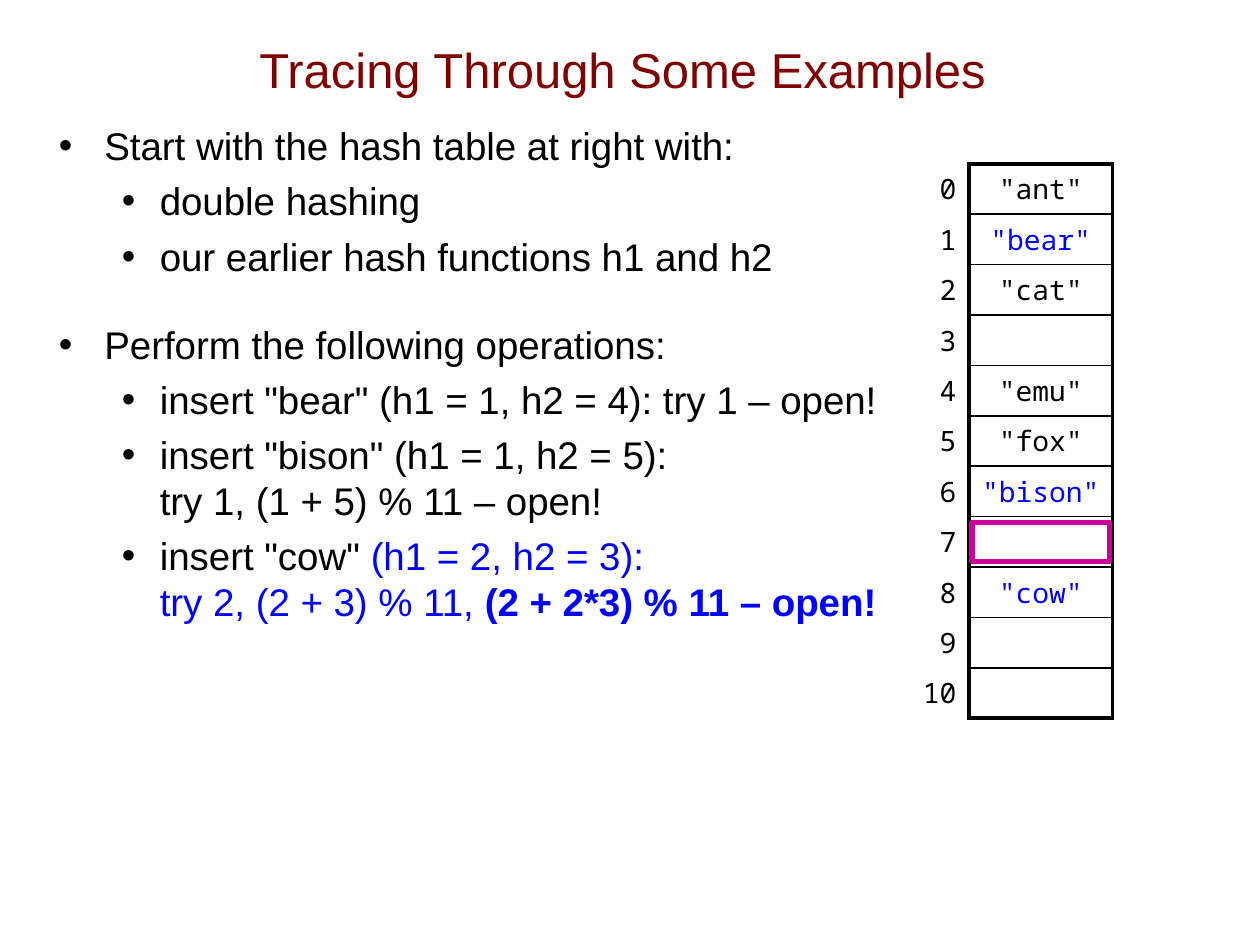
"""Slide tracing double-hashing insertions next to the resulting hash table."""
from lxml import etree
from pptx import Presentation
from pptx.dml.color import RGBColor
from pptx.enum.shapes import MSO_SHAPE
from pptx.enum.text import MSO_ANCHOR, PP_ALIGN
from pptx.oxml.ns import qn
from pptx.util import Inches, Pt

CENTER, RIGHT = PP_ALIGN.CENTER, PP_ALIGN.RIGHT
MIDDLE = MSO_ANCHOR.MIDDLE
RECTANGLE = MSO_SHAPE.RECTANGLE

BLACK = RGBColor(0x00, 0x00, 0x00)
BLUE = RGBColor(0x00, 0x00, 0xFF)
MAROON = RGBColor(0x80, 0x00, 0x00)
MAGENTA = RGBColor(0xCC, 0x00, 0x99)
BODY_FONT, CODE_FONT = "Arial", "Noto Sans Mono"

TITLE = "Tracing Through Some Examples"
STEPS = [
    (0, 14.2, [("Start with the hash table at right with:", BLACK, False)]),
    (1, 5.2, [("double hashing", BLACK, False)]),
    (1, 5.2, [("our earlier hash functions h1 and h2", BLACK, False)]),
    (0, 24, [("Perform the following operations:", BLACK, False)]),
    (1, 5, [('insert "bear" (h1 = 1, h2 = 4): try 1 – open!', BLACK, False)]),
    (1, 5, [('insert "bison" (h1 = 1, h2 = 5):\ntry 1, (1 + 5) % 11 – open!', BLACK, False)]),
    (1, 5, [('insert "cow" ', BLACK, False),
            ("(h1 = 2, h2 = 3):\ntry 2, (2 + 3) % 11, ", BLUE, False),
            ("(2 + 2*3) % 11 – open!", BLUE, True)]),
]
INDENTS = [(0.36, -0.36), (0.8, -0.3)]
SLOTS = ["ant", "bear", "cat", "", "emu", "fox", "bison", "", "cow", "", ""]
INSERTED = {"bear", "bison", "cow"}
MARKED_SLOT = 7
TABLE_LEFT, TABLE_TOP = 6.54, 1.3
COLUMN_WIDTHS = (1.15, 1.14)
ROW_HEIGHT = 0.4
MARK_WIDTH, MARK_HEIGHT = 1.09, 0.31
THICK, THIN, NONE = 2.25, 1, 0


def style_font(font, name, size, color):
    font.name, font.size = name, Pt(size)
    font.color.rgb = color


def add_color(parent, color):
    etree.SubElement(parent, qn("a:srgbClr"), val=str(color))


def add_bullet(paragraph, level):
    margin, indent = INDENTS[level]
    paragraph.level = level
    properties = paragraph._p.get_or_add_pPr()
    properties.set("marL", str(Inches(margin)))
    properties.set("indent", str(Inches(indent)))
    add_color(etree.SubElement(properties, qn("a:buClr")), BLACK)
    etree.SubElement(properties, qn("a:buFont"), typeface=BODY_FONT)
    etree.SubElement(properties, qn("a:buChar"), char="•")


def add_borders(cell, widths):
    properties = cell._tc.get_or_add_tcPr()
    for side, width in widths.items():
        border = etree.SubElement(properties, qn(f"a:ln{side}"), w=str(Pt(width)))
        if width:
            add_color(etree.SubElement(border, qn("a:solidFill")), BLACK)
        else:
            etree.SubElement(border, qn("a:noFill"))


def add_title(slide):
    frame = slide.shapes.add_textbox(Inches(0.64), Inches(0.08), Inches(8.6), Inches(0.93)).text_frame
    frame.word_wrap, frame.vertical_anchor = True, MIDDLE
    heading = frame.paragraphs[0]
    heading.text, heading.alignment = TITLE, CENTER
    style_font(heading.font, BODY_FONT, 28, MAROON)


def add_steps(slide):
    frame = slide.shapes.add_textbox(Inches(0.37), Inches(0.92), Inches(9.63), Inches(6.14)).text_frame
    frame.word_wrap = True
    for number, (level, space, pieces) in enumerate(STEPS):
        step = frame.add_paragraph() if number else frame.paragraphs[0]
        add_bullet(step, level)
        step.space_before = Pt(space)
        style_font(step.font, BODY_FONT, 22, BLACK)
        for text, color, bold in pieces:
            for line_number, line in enumerate(text.split("\n")):
                if line_number:
                    step.add_line_break()
                run = step.add_run()
                run.text = line
                if color != BLACK:
                    run.font.color.rgb = color
                if bold:
                    run.font.bold = True


def fill_cell(cell, text, alignment, color, borders):
    add_borders(cell, borders)
    cell.fill.background()
    entry = cell.text_frame.paragraphs[0]
    entry.text, entry.alignment = text, alignment
    style_font(entry.font, CODE_FONT, 16, color)


def add_hash_table(slide):
    count = len(SLOTS)
    table = slide.shapes.add_table(count, 2, Inches(TABLE_LEFT), Inches(TABLE_TOP),
                                   Inches(sum(COLUMN_WIDTHS)), Inches(ROW_HEIGHT * count)).table
    table.first_row = table.horz_banding = False
    for column, width in zip(table.columns, COLUMN_WIDTHS):
        column.width = Inches(width)
    for index, key in enumerate(SLOTS):
        table.rows[index].height = Inches(ROW_HEIGHT)
        fill_cell(table.cell(index, 0), str(index), RIGHT, BLACK,
                  {"L": NONE, "R": THICK, "T": NONE, "B": NONE})
        borders = {"L": THICK, "R": THICK,
                   "T": THIN if index else THICK,
                   "B": THIN if index < count - 1 else THICK}
        fill_cell(table.cell(index, 1), f'"{key}"' if key else "", CENTER,
                  BLUE if key in INSERTED else BLACK, borders)


def add_highlight(slide):
    left = TABLE_LEFT + COLUMN_WIDTHS[0] + (COLUMN_WIDTHS[1] - MARK_WIDTH) / 2
    top = TABLE_TOP + MARKED_SLOT * ROW_HEIGHT + (ROW_HEIGHT - MARK_HEIGHT) / 2
    highlight = slide.shapes.add_shape(RECTANGLE, Inches(left), Inches(top),
                                       Inches(MARK_WIDTH), Inches(MARK_HEIGHT))
    highlight.shadow.inherit = False
    highlight.fill.background()
    highlight.line.color.rgb = MAGENTA
    highlight.line.width = Pt(3)


def main():
    presentation = Presentation()
    presentation.slide_width, presentation.slide_height = Inches(10), Inches(7.5)
    slide = presentation.slides.add_slide(presentation.slide_layouts[6])
    add_title(slide)
    add_steps(slide)
    add_hash_table(slide)
    add_highlight(slide)
    presentation.save("out.pptx")


if __name__ == "__main__":
    main()
